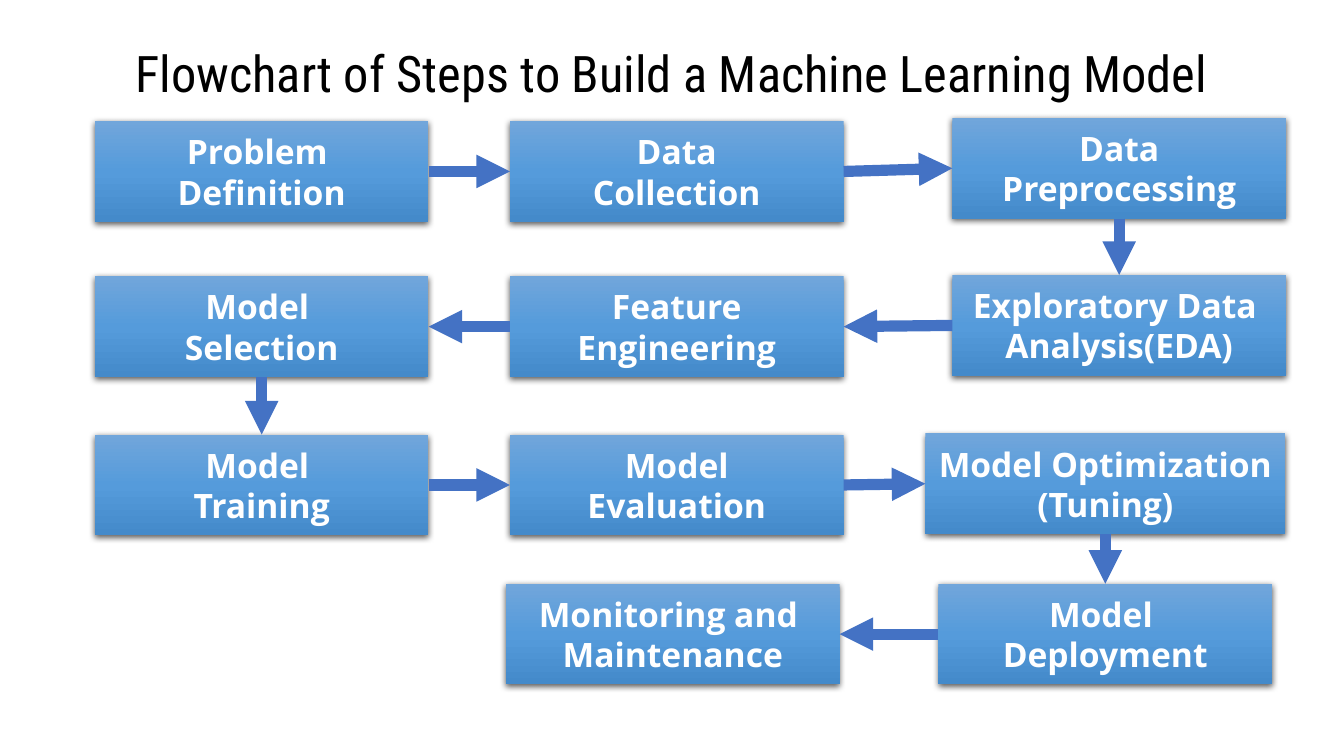
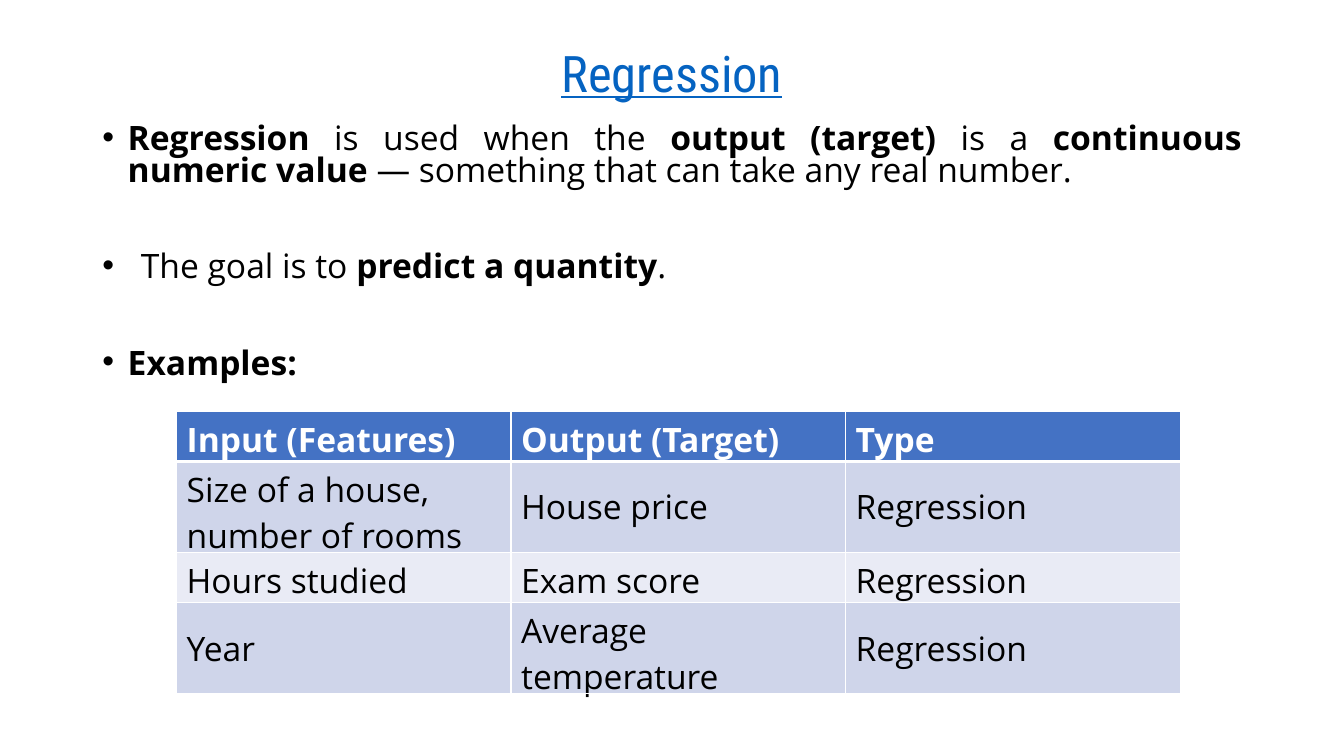
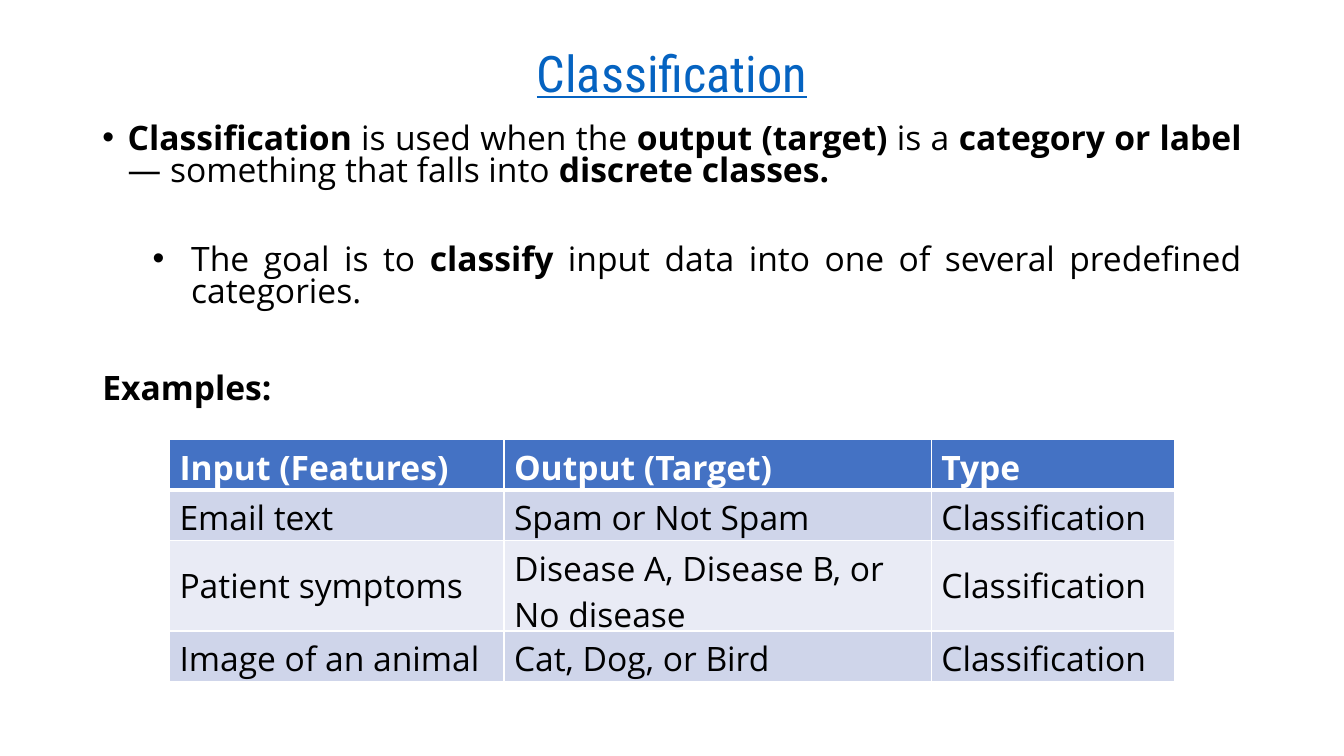
import dataclasses
import itertools

import lxml.etree
import pptx
import pptx.dml.color
import pptx.enum.shapes
import pptx.enum.text
import pptx.oxml.ns
import pptx.util

Cm = pptx.util.Cm
Pt = pptx.util.Pt
Align = pptx.enum.text.PP_ALIGN
Anchor = pptx.enum.text.MSO_ANCHOR
qn = pptx.oxml.ns.qn


@dataclasses.dataclass(frozen=True)
class Theme:
    head: str = "Roboto Condensed"
    body: str = "Open Sans"
    big: int = 36
    mid: int = 24
    ink: str = "000000"
    white: str = "FFFFFF"
    link: str = "0563C1"
    blue: str = "4472C4"
    bands: tuple = ("CFD5EA", "E9EBF5")
    blend: tuple = ((0, "71A6DB"), (50, "559BDB"), (100, "448ACA"))
    stroke: int = 8


THEME = Theme()
WIDE, HIGH = 33.87, 19.05
TITLE_BOX = (2.33, 1.02, 29.21, 1.78)
BODY_BOX = (2.33, 3.02, 29.21, 14.12)
FLOW_BOX = (2.39, 2.97)

COLS = (0, 10.46, 21.61)
ROWS = (0.08, 3.99, 7.98, 11.74)
STEP_WIDE, STEP_HIGH = 8.41, 2.54

STEPS = (
    ("Problem \nDefinition", 0, 0, 0, 0, 0),
    ("Data\nCollection", 1, 0, 0, 0, 0),
    ("Data\nPreprocessing", 2, 0, 0, -0.08, 0),
    ("Exploratory Data \nAnalysis(EDA)", 2, 1, 0, -0.03, 0),
    ("Feature Engineering", 1, 1, 0, 0, 0),
    ("Model \nSelection", 0, 1, 0, 0, 0),
    ("Model \nTraining", 0, 2, 0, 0, 0),
    ("Model\nEvaluation", 1, 2, 0, 0, 0),
    ("Model Optimization (Tuning)", 2, 2, -0.68, -0.03, 0.66),
    ("Model \nDeployment", 2, 3, -0.35, 0, 0),
    ("Monitoring and \nMaintenance", 1, 3, -0.1, 0, 0),
)

HEADS = ("Input (Features)", "Output (Target)", "Type")

TOPICS = (
    dict(
        name="Regression",
        points=(
            ("*Regression *is used when the *output (target)* is a "
             "*continuous numeric value* — something that can take any "
             "real number.", 0.64, 0.64, 0),
            ("The goal is to *predict a quantity*.", 0.97, 0.97, 46.3),
            ("*Examples:*", 0.64, 0.64, 46),
        ),
        spot=(4.45, 10.36),
        widths=(8.43, 8.43, 8.43),
        rows=(
            ("Size of a house, number of rooms", "House price"),
            ("Hours studied", "Exam score"),
            ("Year", "Average temperature"),
        ),
    ),
    dict(
        name="Classification",
        points=(
            ("*Classification* is used when the *output (target)* is a "
             "*category or label* — something that falls into "
             "*discrete classes.*", 0.64, 0.64, 0),
            ("The goal is to *classify* input data into one of several "
             "predefined categories.", 2.24, 0.97, 41.4),
            ("*Examples:*", 0, 0, 46.3),
        ),
        spot=(4.27, 11.07),
        widths=(8.43, 10.77, 6.12),
        rows=(
            ("Email text", "Spam or Not Spam"),
            ("Patient symptoms", "Disease A, Disease B, or No disease"),
            ("Image of an animal", "Cat, Dog, or Bird"),
        ),
    ),
)


def tint(code):
    return pptx.dml.color.RGBColor.from_string(code)


def node(host, tag, **attrs):
    return lxml.etree.SubElement(host, qn("a:" + tag), attrs)


def write(para, text, size=THEME.mid, face=THEME.body, color=THEME.ink,
          bold=False, under=False):
    run = para.add_run()
    run.text = text
    font = run.font
    font.size = Pt(size)
    font.name = face
    font.bold = bold
    font.color.rgb = tint(color)
    if under:
        font.underline = True


def frame(slide, box):
    text = slide.shapes.add_textbox(*map(Cm, box)).text_frame
    text.word_wrap = True
    return text


def title(slide, box, text, color, under=False):
    area = frame(slide, box)
    area.vertical_anchor = Anchor.MIDDLE
    para = area.paragraphs[0]
    para.alignment = Align.CENTER
    para.line_spacing = 0.9
    write(para, text, THEME.big, THEME.head, color, under=under)


def paint(shape):
    shape.line.fill.background()
    shape.fill.gradient()
    shape.fill.gradient_angle = 270
    props = shape._element.spPr
    stops = props.find(qn("a:gradFill")).find(qn("a:gsLst"))
    stops.clear()
    for spot, color in THEME.blend:
        stop = node(stops, "gs", pos=str(spot * 1000))
        node(stop, "srgbClr", val=color)
    shape.shadow.inherit = False
    glow = node(props.find(qn("a:effectLst")), "outerShdw",
                blurRad=str(Pt(4.5)), dist=str(Pt(1.5)), dir="5400000",
                algn="ctr", rotWithShape="0")
    node(node(glow, "srgbClr", val=THEME.ink), "alpha", val="63000")


def block(slide, box, text):
    shape = slide.shapes.add_shape(
        pptx.enum.shapes.MSO_SHAPE.RECTANGLE, *map(Cm, box))
    paint(shape)
    area = shape.text_frame
    area.word_wrap = True
    area.vertical_anchor = Anchor.MIDDLE
    for rank, line in enumerate(text.split("\n")):
        para = area.add_paragraph() if rank else area.paragraphs[0]
        para.alignment = Align.CENTER
        write(para, line, color=THEME.white, bold=True)
    return shape


def arrow(slide, start, start_side, end, end_side):
    link = slide.shapes.add_connector(
        pptx.enum.shapes.MSO_CONNECTOR.STRAIGHT, 0, 0, 0, 0)
    link.begin_connect(start, start_side)
    link.end_connect(end, end_side)
    link.line.color.rgb = tint(THEME.blue)
    link.line.width = Pt(THEME.stroke)
    node(link.line._get_or_add_ln(), "tailEnd", type="triangle")
    node(link._element.spPr, "effectLst")


def sides(start, end):
    if start[2] != end[2]:
        return 2, 0
    return (3, 1) if start[1] < end[1] else (1, 3)


def flow(slide, box):
    left, top = box
    blocks = []
    for text, col, row, right, down, more in STEPS:
        place = (left + COLS[col] + right, top + ROWS[row] + down,
                 STEP_WIDE + more, STEP_HIGH)
        blocks.append(block(slide, place, text))
    pairs = itertools.pairwise(zip(STEPS, blocks))
    for (step, shape), (after, target) in pairs:
        out, into = sides(step, after)
        arrow(slide, shape, out, target, into)


def points(slide, box, items):
    area = frame(slide, box)
    for rank, (text, left, hang, gap) in enumerate(items):
        para = area.add_paragraph() if rank else area.paragraphs[0]
        para.alignment = Align.JUSTIFY
        para.line_spacing = 0.79
        para.space_before = Pt(gap)
        if hang:
            props = para._p.get_or_add_pPr()
            props.set("marL", str(Cm(left)))
            props.set("indent", str(-Cm(hang)))
            node(props, "buFont", typeface="Arial")
            node(props, "buChar", char="•")
        for turn, part in enumerate(text.split("*")):
            if part:
                write(para, part, bold=turn % 2 == 1)


def edge(cell, first):
    props = cell._tc.get_or_add_tcPr()
    for side in "LRTB":
        thick = 3 if first and side == "B" else 1
        line = node(props, "ln" + side, w=str(Pt(thick)))
        node(node(line, "solidFill"), "srgbClr", val=THEME.white)


def grid(slide, spot, widths, rows):
    row_high = 1.04
    box = (*spot, sum(widths), row_high * len(rows))
    table = slide.shapes.add_table(
        len(rows), len(widths), *map(Cm, box)).table
    for col, width in zip(table.columns, widths):
        col.width = Cm(width)
    for rank, texts in enumerate(rows):
        first = rank == 0
        fill = THEME.blue if first else THEME.bands[(rank - 1) % 2]
        for place, text in enumerate(texts):
            cell = table.cell(rank, place)
            edge(cell, first)
            cell.fill.solid()
            cell.fill.fore_color.rgb = tint(fill)
            cell.vertical_anchor = Anchor.MIDDLE
            write(cell.text_frame.paragraphs[0], text, bold=first,
                  color=THEME.white if first else THEME.ink)


def chart_page(slide):
    title(slide, TITLE_BOX,
          "Flowchart of Steps to Build a Machine Learning Model", THEME.ink)
    flow(slide, FLOW_BOX)


def topic_page(slide, name, points_list, spot, widths, rows):
    title(slide, TITLE_BOX, name, THEME.link, under=True)
    points(slide, BODY_BOX, points_list)
    grid(slide, spot, widths, [HEADS, *((*row, name) for row in rows)])


def main():
    deck = pptx.Presentation()
    deck.slide_width, deck.slide_height = Cm(WIDE), Cm(HIGH)
    blank = deck.slide_layouts[6]
    chart_page(deck.slides.add_slide(blank))
    for topic in TOPICS:
        topic_page(deck.slides.add_slide(blank), topic["name"],
                   topic["points"], topic["spot"], topic["widths"],
                   topic["rows"])
    deck.save("out.pptx")


if __name__ == "__main__":
    main()
